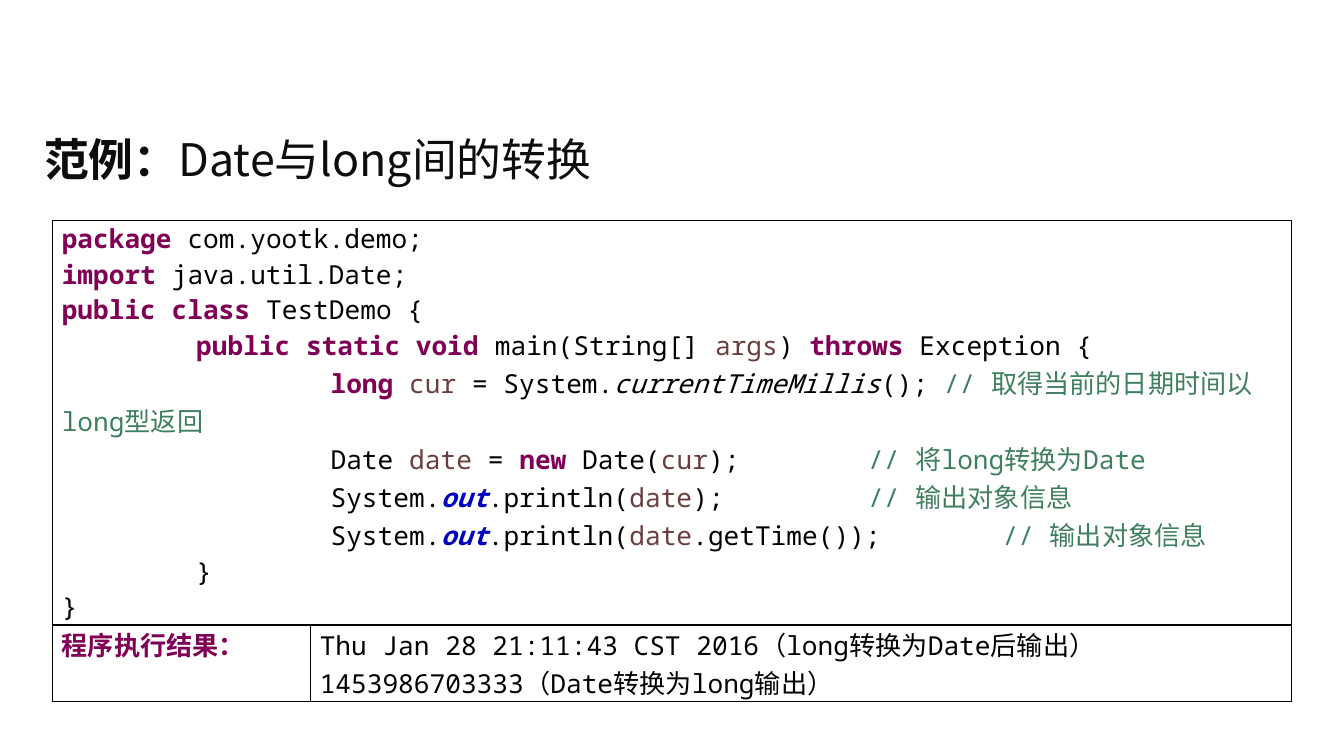
from lxml import etree
from pptx import Presentation
from pptx.dml.color import RGBColor
from pptx.enum.text import MSO_ANCHOR
from pptx.oxml.ns import qn
from pptx.util import Inches, Pt

MIDDLE = MSO_ANCHOR.MIDDLE
TOP = MSO_ANCHOR.TOP

BLACK = RGBColor(0x00, 0x00, 0x00)
INK = RGBColor(0x0D, 0x0D, 0x0D)
PURPLE = RGBColor(0x7F, 0x00, 0x55)
BROWN = RGBColor(0x6A, 0x3E, 0x3E)
GREEN = RGBColor(0x3F, 0x7F, 0x5F)
BLUE = RGBColor(0x00, 0x00, 0xC0)

SANS = "Noto Sans CJK SC"
MONO = "Noto Sans Mono"

STYLES = {
    "heading": (SANS, 24, INK, True, False),
    "title": (SANS, 24, INK, False, False),
    "plain": (MONO, 14, BLACK, False, False),
    "keyword": (MONO, 14, PURPLE, True, False),
    "variable": (MONO, 14, BROWN, False, False),
    "method": (MONO, 14, BLACK, False, True),
    "field": (MONO, 14, BLUE, True, True),
    "comment": (MONO, 14, GREEN, False, False),
}

TITLE = [[("范例：", "heading"), ("Date与long间的转换", "title")]]

PRINT_START = [("\t\tSystem.", "plain"), ("out", "field"),
               (".println(", "plain"), ("date", "variable")]
PRINT_NOTE = ("// 输出对象信息", "comment")

CODE = [
    [("package", "keyword"), (" com.yootk.demo;", "plain")],
    [("import", "keyword"), (" java.util.Date;", "plain")],
    [("public class", "keyword"), (" TestDemo {", "plain")],
    [("\t", "plain"), ("public static void", "keyword"),
     (" main(String[] ", "plain"), ("args", "variable"), (") ", "plain"),
     ("throws", "keyword"), (" Exception {", "plain")],
    [("\t\t", "plain"), ("long ", "keyword"), ("cur", "variable"),
     (" = System.", "plain"), ("currentTimeMillis", "method"),
     ("(); ", "plain"), ("// 取得当前的日期时间以long型返回", "comment")],
    [("\t\tDate ", "plain"), ("date", "variable"), (" = ", "plain"),
     ("new", "keyword"), (" Date(", "plain"), ("cur", "variable"),
     (");\t", "plain"), ("// 将long转换为Date", "comment")],
    PRINT_START + [(");\t\t", "plain"), PRINT_NOTE],
    PRINT_START + [(".getTime()); \t", "plain"), PRINT_NOTE],
    [("\t}", "plain")],
    [("}", "plain")],
]

RESULT_LABEL = [[("程序执行结果：", "keyword")]]
RESULT = [
    [("Thu Jan 28 21:11:43 CST 2016（long转换为Date后输出）", "plain")],
    [("1453986703333（Date转换为long输出）", "plain")],
]


def write_lines(frame, lines):
    for index, line in enumerate(lines):
        para = frame.add_paragraph() if index else frame.paragraphs[0]
        para._p.get_or_add_pPr().set("defTabSz", str(Inches(1)))
        for text, style in line:
            name, size, color, bold, italic = STYLES[style]
            span = para.add_run()
            span.text = text
            span.font.name = name
            span.font.size = Pt(size)
            span.font.bold = bold
            span.font.italic = italic
            span.font.color.rgb = color
            east_asian = etree.SubElement(span.font._element, qn("a:ea"))
            east_asian.set("typeface", SANS)


def outline_cell(cell):
    properties = cell._tc.get_or_add_tcPr()
    for index, side in enumerate(("a:lnL", "a:lnR", "a:lnT", "a:lnB")):
        line = etree.Element(qn(side), w=str(Pt(1)))
        fill = etree.SubElement(line, qn("a:solidFill"))
        etree.SubElement(fill, qn("a:srgbClr"), val=str(BLACK))
        properties.insert(index, line)


def add_title(page, left, top, width, height):
    box = page.shapes.add_textbox(left, top, width, height)
    frame = box.text_frame
    frame.word_wrap = True
    frame.vertical_anchor = MIDDLE
    write_lines(frame, TITLE)


def add_listing(page, left, top, width, height):
    table = page.shapes.add_table(2, 2, left, top, width, height).table
    table.first_row = False
    table.horz_banding = False
    label_width = Inches(1.92)
    table.columns[0].width = label_width
    table.columns[1].width = width - label_width
    result_height = Inches(0.57)
    table.rows[0].height = height - result_height
    table.rows[1].height = result_height
    for cell in table.iter_cells():
        cell.fill.background()
        cell.margin_left = cell.margin_right = Inches(0.07)
        cell.margin_top = cell.margin_bottom = 0
        cell.vertical_anchor = TOP
        outline_cell(cell)
    table.cell(0, 0).merge(table.cell(0, 1))
    write_lines(table.cell(0, 0).text_frame, CODE)
    write_lines(table.cell(1, 0).text_frame, RESULT_LABEL)
    write_lines(table.cell(1, 1).text_frame, RESULT)


def main():
    deck = Presentation()
    deck.slide_width = Inches(10)
    deck.slide_height = deck.slide_width * 9 // 16
    page = deck.slides.add_slide(deck.slide_layouts[6])
    add_title(page, Inches(0.23), Inches(0.86), Inches(9.53), Inches(0.64))
    add_listing(page, Inches(0.39), Inches(1.64), Inches(9.22), Inches(3.58))
    deck.save("out.pptx")


if __name__ == "__main__":
    main()
